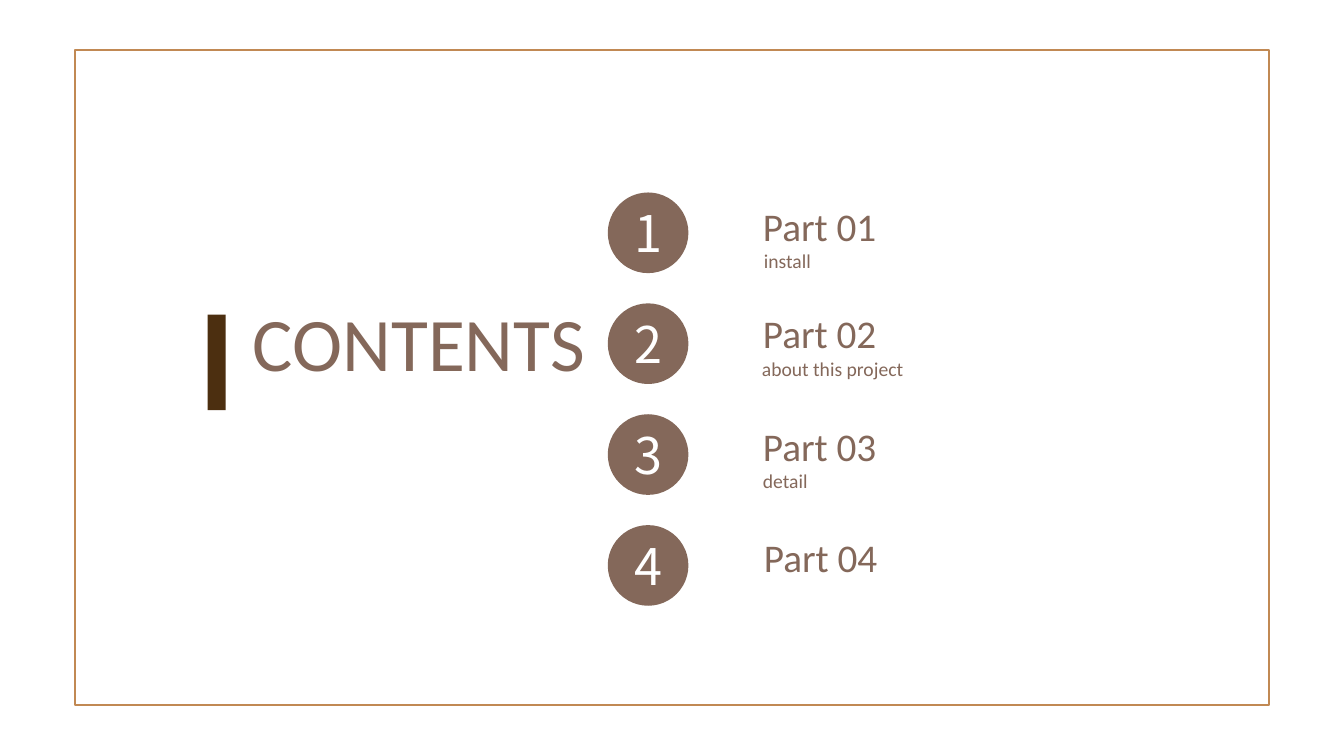
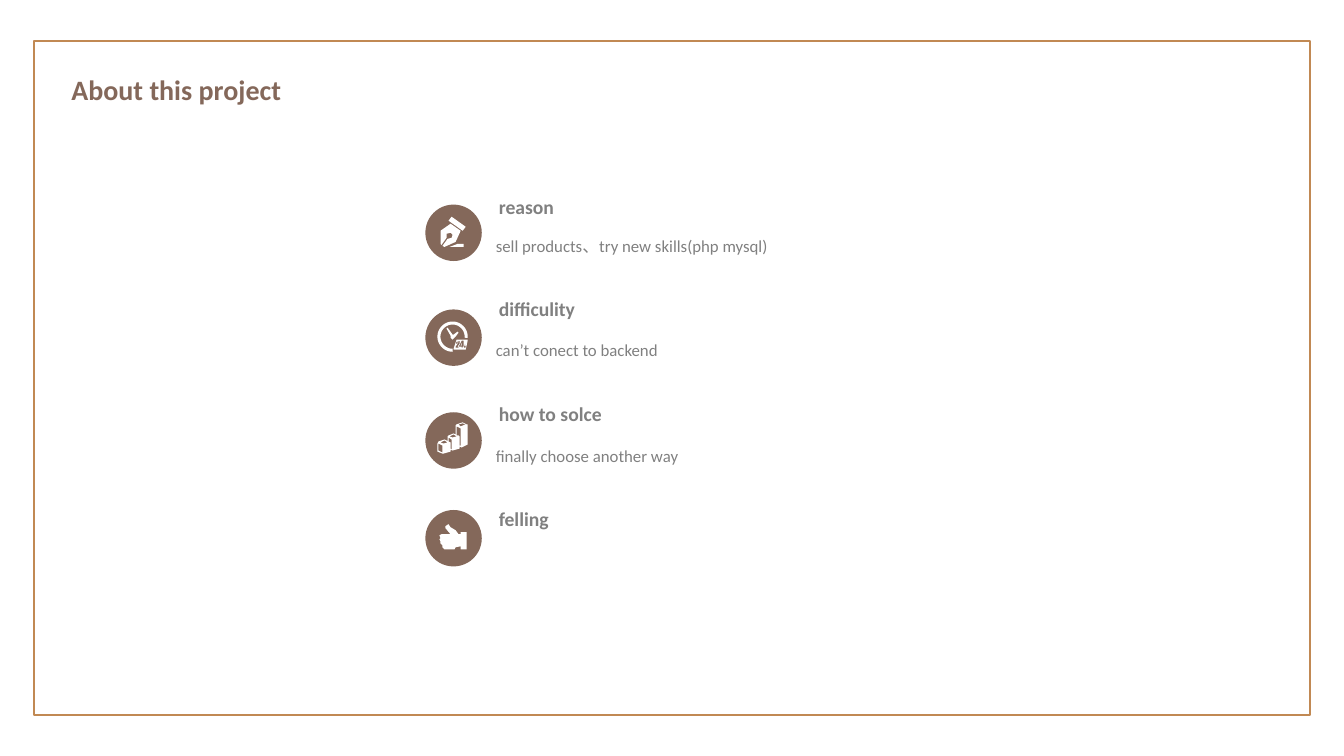
from math import cos, radians, sin

from pptx import Presentation
from pptx.dml.color import RGBColor
from pptx.enum.shapes import MSO_SHAPE as Shape
from pptx.enum.text import MSO_ANCHOR as Anchor, PP_ALIGN as Align
from pptx.util import Emu, Pt

PX = 9144  # EMU in one px, 100 px to the inch

BROWN, DARK_BROWN, GOLD = "84685A", "4C2F10", "C18953"
GREY, WHITE = "808080", "FFFFFF"
BODY_FONT, NUMBER_FONT = "Calibri", "Noto Sans CJK SC"

# Contents: heading, its left and top, then the detail line's left and top
PARTS = [
    ("Part 01", 747, 196, "install", 748, 242),
    ("Part 02", 747, 302, "about this project", 746, 349),
    ("Part 03", 747, 414, "detail", 747, 460),
    ("Part 04", 748, 524, "", 0, 0),
]
NUMBER_TOP, NUMBER_STEP = 191, 110


def arc(center, radius, start, end, step=5):
    """Points on a circle, with angles in degrees clockwise from the right."""
    turn = step if end > start else -step
    return [(center + radius * cos(radians(angle)),
             center + radius * sin(radians(angle)))
            for angle in range(start, end + turn, turn)]


# Icon outlines, in px from the top left corner of their disc
PEN = [
    # nib with its slit
    [(16, 40), (15, 39), (15, 26), (25, 19), (35, 26), (30, 37), (19, 42),
     (17, 41), (22, 34), (26, 33), (27, 30), (25, 28), (21, 29), (21, 33)],
    # stroke and cap
    [(24, 42), (38, 42), (38, 39), (32, 39)],
    [(37, 26), (40, 22), (26, 12), (23, 16)],
]
CLOCK = [
    # ring and hands
    arc(27, 15, 90, 365) + arc(27, 12, 365, 90),
    [(27, 25), (22, 18), (21, 19), (25, 26), (25, 28), (27, 30), (30, 27),
     (33, 23), (32, 22), (28, 25)],
    # badge with 2, 4 and h cut out
    [(31, 30), (42, 30), (42, 31), (40, 40), (28, 40), (28, 39)],
    [(33, 38), (33, 37), (32, 37), (34, 34), (34, 31), (31, 32), (30, 34),
     (32, 34), (32, 32), (33, 32), (32, 34), (30, 37), (30, 38)],
    [(38, 37), (38, 31), (36, 31), (33, 37), (36, 37), (36, 38), (37, 38),
     (37, 37)],
    [(36, 36), (36, 33), (35, 36)],
    [(40, 38), (40, 36), (39, 36), (40, 35), (39, 35), (38, 38), (39, 38)],
]
BARS = [
    # silhouette of the three blocks
    [(22, 24), (23, 23), (28, 21), (30, 22), (30, 13), (31, 12), (37, 10),
     (41, 12), (42, 12), (42, 32), (36, 35), (34, 34), (34, 36), (27, 38),
     (25, 37), (25, 39), (18, 41), (17, 41), (12, 39), (12, 31), (13, 29),
     (19, 27), (23, 29), (25, 30), (25, 36), (26, 37), (26, 27), (23, 25),
     (23, 29), (22, 28)],
    # tops and sides cut out
    [(33, 12), (35, 14), (40, 12), (37, 11)],
    [(24, 24), (27, 25), (31, 24), (28, 22)],
    [(15, 30), (18, 31), (22, 30), (19, 28)],
    [(17, 33), (13, 31), (13, 38), (17, 40)],
    [(31, 23), (33, 23), (34, 24), (34, 33), (35, 33), (35, 16), (31, 14)],
]
THUMB = [
    [(23, 14), (20, 16), (20, 18), (25, 24), (16, 24), (14, 25), (15, 28),
     (14, 29), (15, 31), (15, 33), (17, 35), (17, 37), (19, 39), (29, 39),
     (30, 37), (35, 36), (35, 39), (41, 39), (41, 22), (35, 22), (35, 24),
     (33, 24), (30, 20), (25, 17)],
]

# Project: heading and its top, detail and its top, icon and its disc's top
TOPICS = [
    ("reason", 188, "sell products、try new skills(php mysql)", 219, PEN, 203),
    ("difficulity", 290, "can’t conect to backend", 322, CLOCK, 307),
    ("how to solce", 394, "finally choose another way", 427, BARS, 409),
    ("felling", 498, "", 0, THUMB, 506),
]


def color(value):
    return RGBColor.from_string(value)


def lengths(*values):
    return [Emu(round(value * PX)) for value in values]


def paint(shape, fill, line=None):
    shape.shadow.inherit = False
    shape.fill.solid()
    shape.fill.fore_color.rgb = color(fill)
    if line:
        shape.line.color.rgb = color(line)
        shape.line.width = Pt(1.5)
    else:
        shape.line.fill.background()


def add_block(page, kind, place, fill, line=None):
    shape = page.shapes.add_shape(kind, *lengths(*place))
    paint(shape, fill, line)
    return shape


def write(frame, text, size, ink=BROWN, font=BODY_FONT, bold=False,
          align=Align.LEFT, spacing=None):
    para = frame.paragraphs[0]
    para.alignment = align
    if spacing:
        para.line_spacing = spacing
    span = para.add_run()
    span.text = text
    span.font.name = font
    span.font.size = Pt(size)
    span.font.bold = bold
    span.font.color.rgb = color(ink)


def add_text(page, place, text, size, **style):
    box = page.shapes.add_textbox(*lengths(*place))
    box.text_frame.word_wrap = True
    write(box.text_frame, text, size, **style)


def add_number(page, place, text):
    frame = add_block(page, Shape.OVAL, place, BROWN).text_frame
    frame.margin_left = frame.margin_right = 0
    frame.margin_top = frame.margin_bottom = 0
    frame.vertical_anchor = Anchor.MIDDLE
    write(frame, text, 36, ink=WHITE, font=NUMBER_FONT, align=Align.CENTER)


def add_icon(page, left, top, outlines):
    add_block(page, Shape.OVAL, (left, top, 56, 56), BROWN)
    builder = None
    for outline in outlines:
        points = [lengths(left + x, top + y) for x, y in outline]
        if builder is None:
            builder = page.shapes.build_freeform(*points[0])
        else:
            builder.move_to(*points[0])
        builder.add_line_segments(points[1:], close=True)
    paint(builder.convert_to_shape(), WHITE)


def add_page(deck, frame_place):
    """A blank page with the gold frame that all pages share."""
    page = deck.slides.add_slide(deck.slide_layouts[6])
    add_block(page, Shape.RECTANGLE, frame_place, WHITE, GOLD)
    return page


def build_contents(deck):
    page = add_page(deck, (74, 50, 1185, 649))
    # Title with its bar
    add_block(page, Shape.RECTANGLE, (206, 312, 18, 95), DARK_BROWN)
    add_text(page, (241, 289, 362, 101), "CONTENTS", 54, align=Align.JUSTIFY)
    # Numbered parts
    for index, part in enumerate(PARTS):
        heading, left, top, detail, detail_left, detail_top = part
        number_top = NUMBER_TOP + index * NUMBER_STEP
        add_number(page, (603, number_top, 80, 80), str(index + 1))
        add_text(page, (left, top, 309, 57), heading, 28, align=Align.JUSTIFY)
        if detail:
            add_text(page, (detail_left, detail_top, 309, 34), detail, 14)


def build_project(deck):
    page = add_page(deck, (34, 41, 1266, 668))
    add_text(page, (61, 67, 360, 44), "About this project", 20, bold=True)
    # Topics with their icons
    for heading, top, detail, detail_top, icon, icon_top in TOPICS:
        add_text(page, (485, top, 127, 34), heading, 14, ink=GREY, bold=True)
        if detail:
            add_text(page, (482, detail_top, 389, 40), detail, 12, ink=GREY,
                     spacing=1.5)
        add_icon(page, 422, icon_top, icon)


def main():
    deck = Presentation()
    deck.slide_width, deck.slide_height = lengths(1333.33, 750)
    build_contents(deck)
    build_project(deck)
    deck.save("out.pptx")


if __name__ == "__main__":
    main()
